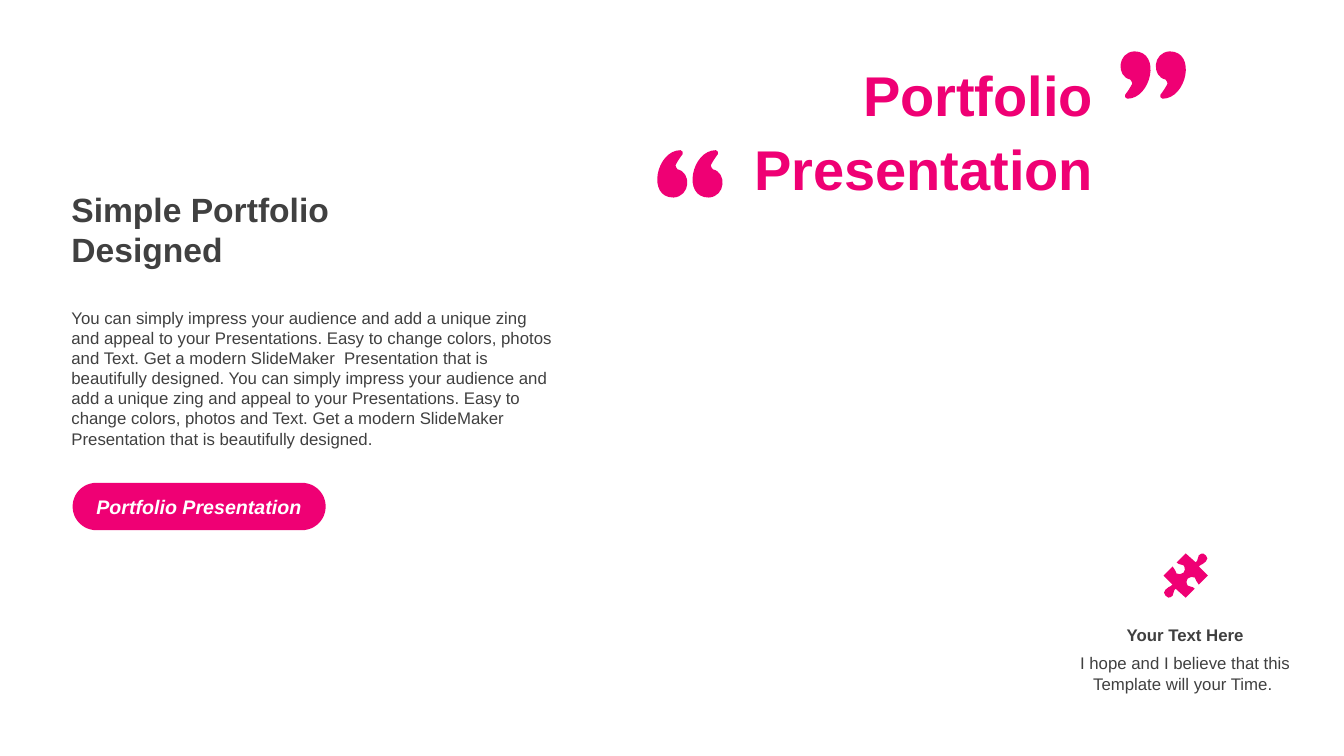
import pptx
import pptx.dml.color
import pptx.enum.shapes
import pptx.enum.text
import pptx.oxml.ns
import pptx.util
import lxml.etree
from dataclasses import dataclass

Inches = pptx.util.Inches
Align = pptx.enum.text.PP_ALIGN
Anchor = pptx.enum.text.MSO_ANCHOR
Fit = pptx.enum.text.MSO_AUTO_SIZE
qn = pptx.oxml.ns.qn


@dataclass(frozen=True)
class Theme:
    font: str = "Arial"
    accent: str = "EF0074"
    ink: str = "404040"
    white: str = "FFFFFF"
    title: int = 40
    heading: int = 24
    button: int = 14
    body: int = 12


theme = Theme()
color = pptx.dml.color.RGBColor.from_string


def write(box, text, size, ink=theme.ink, align=Align.LEFT, bold=False,
          italic=False, anchor=Anchor.TOP, fit=Fit.SHAPE_TO_FIT_TEXT):
    frame = box.text_frame
    frame.word_wrap = True
    frame.auto_size = fit
    frame.vertical_anchor = anchor
    para = frame.paragraphs[0]
    para.alignment = align
    span = para.add_run()
    span.text = text
    span.font.name = theme.font
    span.font.size = pptx.util.Pt(size)
    span.font.bold = bold
    span.font.italic = italic
    span.font.color.rgb = color(ink)
    return para


def draw_outline(shapes, center, segments, sign=1):
    """Fill a closed outline of lines (1 point) and Bezier curves (3 points).

    Points are inches from the center; sign -1 gives the outline a half turn.
    """
    placed = [[tuple(Inches(middle + sign * offset) for middle, offset in zip(center, point))
               for point in segment] for segment in segments]
    start = placed[-1][-1]

    # Points along the curves give the shape its true bounds
    samples = [start]
    for segment in placed:
        knots = [samples[-1], *segment]
        if len(segment) == 1:
            samples += segment
            continue
        for t in (0.25, 0.5, 0.75, 1):
            weights = ((1 - t) ** 3, 3 * t * (1 - t) ** 2, 3 * t * t * (1 - t), t ** 3)
            samples.append(tuple(round(sum(w * knot[axis] for w, knot in zip(weights, knots)))
                                 for axis in (0, 1)))
    builder = shapes.build_freeform(*start)
    builder.add_line_segments(samples[1:], close=True)
    outline = builder.convert_to_shape()
    outline.shadow.inherit = False
    outline.fill.solid()
    outline.fill.fore_color.rgb = color(theme.accent)
    outline.line.fill.background()

    # Inside those bounds, draw the curves themselves
    left, top = min(x for x, y in samples), min(y for x, y in samples)
    trace = next(outline._element.iter(qn("a:path")))
    for child in list(trace):
        trace.remove(child)
    for tag, points in [("a:moveTo", [start])] + [
            ("a:lnTo" if len(segment) == 1 else "a:cubicBezTo", segment) for segment in placed]:
        stroke = lxml.etree.SubElement(trace, qn(tag))
        for x, y in points:
            lxml.etree.SubElement(stroke, qn("a:pt"), x=str(x - left), y=str(y - top))
    lxml.etree.SubElement(trace, qn("a:close"))


deck = pptx.Presentation()
deck.slide_width = Inches(13.33)
deck.slide_height = Inches(7.5)
page = deck.slides.add_slide(deck.slide_layouts[6])

# Title
title = page.shapes.add_textbox(Inches(6.35), Inches(0.5), Inches(4.59), Inches(1.54))
para = write(title, "Portfolio Presentation", theme.title, theme.accent, Align.RIGHT,
             bold=True, anchor=Anchor.MIDDLE, fit=Fit.NONE)
para.line_spacing = 1.1
para.space_before = pptx.util.Pt(8)

# Button
button = page.shapes.add_shape(pptx.enum.shapes.MSO_SHAPE.ROUNDED_RECTANGLE,
                               Inches(0.72), Inches(4.79), Inches(2.51), Inches(0.47))
button.adjustments[0] = 0.5
button.shadow.inherit = False
button.fill.solid()
button.fill.fore_color.rgb = color(theme.accent)
button.line.fill.background()
write(button, "Portfolio Presentation", theme.button, theme.white, Align.CENTER,
      bold=True, italic=True, anchor=Anchor.MIDDLE)

# Puzzle piece: its second half is the first after a half turn
puzzle_half = [
    [(0.22, -0.18), (0.22, -0.16), (0.2, -0.14)],
    [(0.18, -0.11), (0.16, -0.12), (0.13, -0.09)],
    [(0.22, 0)],
    [(0.13, 0.09)],
    [(0.1, 0.07), (0.11, 0.04), (0.09, 0.02)],
    [(0.07, 0.01), (0.04, 0.01), (0.02, 0.03)],
    [(0.01, 0.04), (0, 0.07), (0.02, 0.1)],
    [(0.05, 0.12), (0.06, 0.1), (0.09, 0.13)],
    [(0, 0.22)],
    [(-0.1, 0.13)],
    [(-0.13, 0.16), (-0.11, 0.17), (-0.13, 0.2)],
    [(-0.16, 0.23), (-0.19, 0.22), (-0.2, 0.2)],
]
turned_half = [[(-x, -y) for x, y in segment] for segment in puzzle_half]
draw_outline(page.shapes, (11.76, 5.71), puzzle_half + turned_half)

# Caption under the puzzle piece
caption = page.shapes.add_group_shape()
for text, top, height, bold in (
        ("Your Text Here", 6.15, 0.3, True),
        ("I hope and I believe that this Template will your Time. ", 6.43, 0.5, False)):
    box = caption.shapes.add_textbox(Inches(10.61), Inches(top), Inches(2.29), Inches(height))
    write(box, text, theme.body, align=Align.CENTER, bold=bold)

# Left column
pitch = ("You can simply impress your audience and add a unique zing and appeal to your "
         "Presentations. Easy to change colors, photos and Text. Get a modern SlideMaker  "
         "Presentation that is beautifully designed.")
body = page.shapes.add_textbox(Inches(0.61), Inches(3), Inches(5.02), Inches(1.51))
write(body, " ".join([pitch] * 2), theme.body)

heading = page.shapes.add_textbox(Inches(0.61), Inches(1.82), Inches(2.9), Inches(0.91))
write(heading, "Simple Portfolio Designed", theme.heading, bold=True)

# Quotation marks: the opening pair is the closing pair after a half turn
quote_mark = [
    [(0.27, 0), (0.17, 0.47), (-0.07, 0.47)],
    [(-0.09, 0.47), (-0.1, 0.44), (-0.09, 0.43)],
    [(-0.06, 0.39), (-0.04, 0.36), (-0.02, 0.32)],
    [(-0.02, 0.31), (-0.03, 0.29), (-0.04, 0.28)],
    [(-0.18, 0.25), (-0.17, 0.01), (0, 0)],
]
for left, top, sign in ((6.68, 1.96, -1), (11.25, 0.51, 1)):
    pair = page.shapes.add_group_shape()
    for index in range(2):
        draw_outline(pair.shapes, (left + index * 0.35, top), quote_mark, sign)

deck.save("out.pptx")
